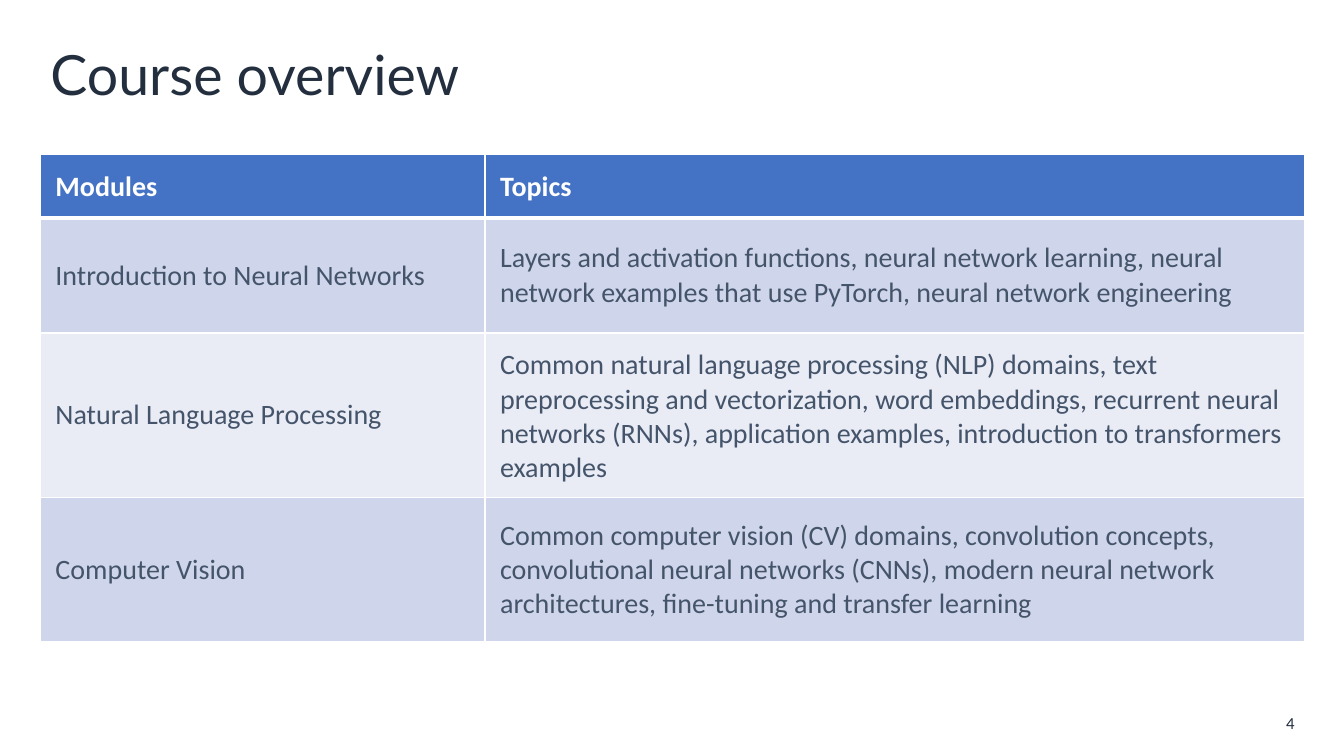
from dataclasses import dataclass

from lxml.etree import SubElement
from pptx import Presentation
from pptx.dml.color import RGBColor
from pptx.enum.text import MSO_ANCHOR as Anchor, MSO_AUTO_SIZE as AutoSize, PP_ALIGN as Align
from pptx.oxml.ns import qn
from pptx.util import Inches, Pt


@dataclass(frozen=True)
class Theme:
    ink: str = "232F3E"
    body: str = "44546A"
    white: str = "FFFFFF"
    header: str = "4472C4"
    bands: tuple = ("CFD5EA", "E9EBF5")
    title_font: str = "Lato"
    body_font: str = "Calibri"
    title_size: float = 39.6
    table_size: float = 20
    number_size: float = 12
    rule: float = 1
    header_rule: float = 3


theme = Theme()


def write(frame, text, font, size, color, align=Align.LEFT, bold=False):
    frame.text = text
    frame.word_wrap = True
    frame.vertical_anchor = Anchor.MIDDLE
    para = frame.paragraphs[0]
    para.alignment = align
    span = para.runs[0].font
    span.name, span.size, span.bold = font, Pt(size), bold
    span.color.rgb = RGBColor.from_string(color)


def add_border(cell, side, width):
    line = SubElement(cell._tc.get_or_add_tcPr(), qn(f"a:ln{side}"), w=str(Pt(width)))
    fill = SubElement(line, qn("a:solidFill"))
    SubElement(fill, qn("a:srgbClr"), val=theme.white)


deck = Presentation()
deck.slide_width, deck.slide_height = Inches(13.33), Inches(7.5)
page = deck.slides.add_slide(deck.slide_layouts[5])

title = page.shapes.title
title.left, title.top = Inches(0.4), Inches(0.33)
title.width, title.height = Inches(12.54), Inches(0.8)
write(title.text_frame, "Course overview", theme.title_font, theme.title_size, theme.ink)
title.text_frame.auto_size = AutoSize.NONE

number_box = page.shapes.add_textbox(Inches(12.41), Inches(7.05), Inches(0.53), Inches(0.25))
write(number_box.text_frame, "4", theme.body_font, theme.number_size, theme.ink, Align.RIGHT)

course_rows = [
    ("Modules", "Topics"),
    ("Introduction to Neural Networks",
     "Layers and activation functions, neural network learning, neural network examples "
     "that use PyTorch, neural network engineering"),
    ("Natural Language Processing",
     "Common natural language processing (NLP) domains, text preprocessing and vectorization, "
     "word embeddings, recurrent neural networks (RNNs), application examples, "
     "introduction to transformers examples"),
    ("Computer Vision",
     "Common computer vision (CV) domains, convolution concepts, convolutional neural networks "
     "(CNNs), modern neural network architectures, fine-tuning and transfer learning"),
]
column_widths = (4.41, 8.13)
row_heights = (0.55, 1.14, 1.43, 1.43)

table = page.shapes.add_table(
    len(course_rows), len(column_widths),
    Inches(0.4), Inches(1.53), Inches(sum(column_widths)), Inches(sum(row_heights)),
).table
for column, width in zip(table.columns, column_widths):
    column.width = Inches(width)

for row_index, (texts, height) in enumerate(zip(course_rows, row_heights)):
    table.rows[row_index].height = Inches(height)
    is_header = row_index == 0
    fill_color = theme.header if is_header else theme.bands[(row_index - 1) % 2]
    for column_index, text in enumerate(texts):
        cell = table.cell(row_index, column_index)
        write(cell.text_frame, text, theme.body_font, theme.table_size,
              theme.white if is_header else theme.body, bold=is_header)
        cell.vertical_anchor = Anchor.MIDDLE
        cell.margin_left = cell.margin_right = Inches(0.15)
        cell.margin_top = cell.margin_bottom = Inches(0.15)
        for side in "LRTB":
            under_header = (row_index, side) in ((0, "B"), (1, "T"))
            add_border(cell, side, theme.header_rule if under_header else theme.rule)
        cell.fill.solid()
        cell.fill.fore_color.rgb = RGBColor.from_string(fill_color)

deck.save("out.pptx")
